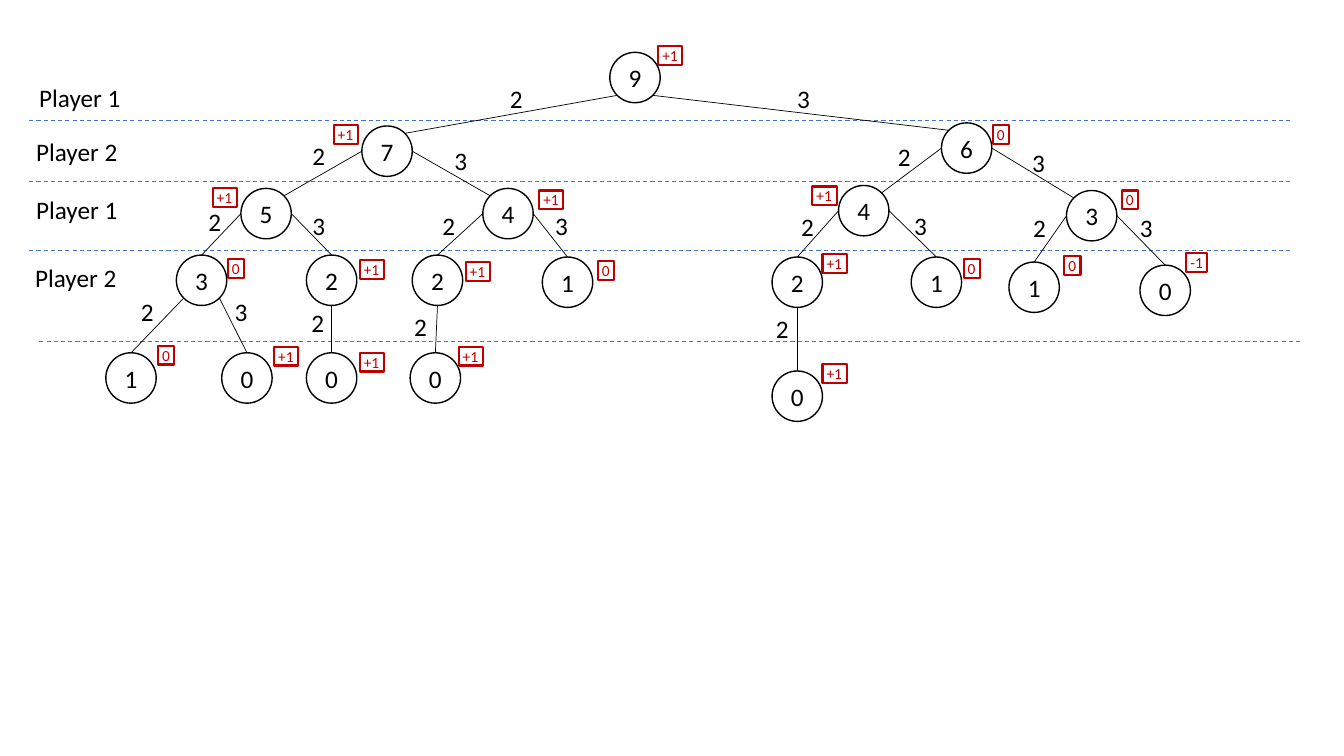
from lxml import etree
from pptx import Presentation
from pptx.dml.color import RGBColor
from pptx.enum import dml, shapes, text
from pptx.oxml.ns import qn
from pptx.util import Pt

BLACK, RED, BLUE = "000000", "C00000", "4472C4"
START = 9
# moves so far: (node left/top, score, score left/top, move label left/top)
GAME = {
    "": ((435.6, 37.4), "+1", (470.2, 33.1), None),
    "2": ((258.5, 90), "+1", (238.3, 89.3), (357.1, 56.2)),
    "3": ((672.5, 87.8), "0", (709.2, 89.3), (562.3, 56.2)),
    "22": ((172.1, 134.6), "+1", (151.9, 134.6), (216, 96.5)),
    "23": ((344.9, 134.6), "+1", (385.2, 136.1), (317.5, 100.1)),
    "32": ((599, 132.5), "+1", (580.3, 133.2), (634.3, 97.2)),
    "33": ((761.8, 136.1), "0", (801.4, 136.1), (730.1, 101.5)),
    "222": ((126, 182.2), "0", (162.7, 185), (141.8, 144)),
    "223": ((218.9, 182.2), "+1", (257, 185.8), (216, 146.9)),
    "232": ((294.5, 182.2), "+1", (332.6, 187.2), (308.9, 146.9)),
    "233": ((387.4, 183.6), "0", (427, 186.5), (389.5, 146.9)),
    "322": ((551.5, 183.6), "+1", (587.5, 181.4), (565.2, 147.6)),
    "323": ((650.9, 183.6), "0", (688.3, 185), (645.8, 146.9)),
    "332": ((720.7, 187.2), "0", (760.3, 182.9), (730.8, 148.3)),
    "333": ((814.3, 189.4), "-1", (847.4, 180.7), (807.1, 148.3)),
    "2222": ((75.6, 252), "0", (113, 247), (93.6, 208.1)),
    "2223": ((158.4, 252), "+1", (195.8, 247.7), (160.6, 208.1)),
    "2232": ((218.9, 252), "+1", (257, 252), (215.3, 216)),
    "2322": ((293, 252), "+1", (327.6, 247.7), (288.7, 218.9)),
    "3222": ((551.5, 265), "+1", (587.5, 259.9), (547.2, 220.3)),
}
# player, label left/top, left and height of the line below
TURNS = [
    ("Player 1", (20.9, 55.4), (20.9, 86.4)),
    ("Player 2", (18.7, 93.6), (20.9, 129.6)),
    ("Player 1", (18.7, 135.4), (20.9, 178.6)),
    ("Player 2", (18, 183.6), (28.1, 244.1)),
]
NODE, TURN_LENGTH, LABEL_HEIGHT = 36, 901.4, 28.8
SCORE_WIDTHS = {"+1": 17.3, "0": 11.5, "-1": 15.1}

deck = Presentation()
deck.slide_width, deck.slide_height = Pt(960), Pt(540)
slide = deck.slides.add_slide(deck.slide_layouts[6])


def paint(color_format, color):
    """Set a colour from a hex string."""
    color_format.rgb = RGBColor.from_string(color)


def write(owner, words, size=18, color=BLACK, align=text.PP_ALIGN.LEFT, wrap=True):
    """Put one run of text in a shape and return its frame."""
    frame = owner.text_frame
    frame.word_wrap = wrap
    paragraph = frame.paragraphs[0]
    paragraph.alignment = align
    run = paragraph.add_run()
    run.text = words
    run.font.size, run.font.name = Pt(size), "Calibri"
    paint(run.font.color, color)
    return frame


def label(words, place, width, wrap=True):
    """Add plain text at a place."""
    box = slide.shapes.add_textbox(*map(Pt, (*place, width, LABEL_HEIGHT)))
    write(box, words, wrap=wrap).auto_size = text.MSO_AUTO_SIZE.SHAPE_TO_FIT_TEXT


def outline(preset, place, width, height, color, weight):
    """Add an unfilled preset shape."""
    shape = slide.shapes.add_shape(preset, *map(Pt, (*place, width, height)))
    shape.shadow.inherit = False
    shape.fill.background()
    paint(shape.line.color, color)
    shape.line.width = Pt(weight)
    return shape


def line(start, end, color, weight, dash=None):
    """Add a straight line between two points."""
    link = slide.shapes.add_connector(shapes.MSO_CONNECTOR.STRAIGHT, *map(Pt, (*start, *end)))
    paint(link.line.color, color)
    link.line.width = Pt(weight)
    if dash:
        link.line.dash_style = dash
    etree.SubElement(link._element.spPr, qn("a:effectLst"))


def rim(moves, across, down):
    """Return the point on a node's circle in a direction."""
    left, top = GAME[moves][0]
    reach = NODE / 2 / (across ** 2 + down ** 2) ** 0.5
    return left + NODE / 2 + across * reach, top + NODE / 2 + down * reach


def join(moves):
    """Link a node to the one before it."""
    before = moves[:-1]
    depth = len(before)
    side = -1 if moves[-1] == "2" else 1
    if depth == 3 and before + "3" not in GAME:
        leave = (0, 1)
    else:
        leave = (side, 1 if depth in (0, 3) else 0)
    arrive = (-side if depth < 2 else 0, -1)
    line(rim(before, *leave), rim(moves, *arrive), BLACK, 0.5)


for player, place, (left, height) in TURNS:
    line((left, height), (left + TURN_LENGTH, height), BLUE, 0.75, dml.MSO_LINE.DASH)
    label(player, place, 73.4, wrap=False)

for moves, (place, score, score_place, move_place) in GAME.items():
    if moves:
        join(moves)
        label(moves[-1], move_place, 19.4 if len(moves) == 4 else 22.3)
    node = outline(shapes.MSO_SHAPE.FLOWCHART_CONNECTOR, place, NODE, NODE, BLACK, 1)
    remaining = START - sum(map(int, moves))
    frame = write(node, str(remaining), align=text.PP_ALIGN.CENTER)
    frame.vertical_anchor = text.MSO_ANCHOR.MIDDLE

    badge = outline(shapes.MSO_SHAPE.RECTANGLE, score_place, SCORE_WIDTHS[score], 13.4, RED, 1.5)
    frame = write(badge, score, 11, RED, wrap=False)
    frame.margin_left = frame.margin_right = Pt(2.88)
    frame.margin_top = frame.margin_bottom = 0
    frame.vertical_anchor = text.MSO_ANCHOR.TOP
    frame.auto_size = text.MSO_AUTO_SIZE.SHAPE_TO_FIT_TEXT

deck.save("out.pptx")
